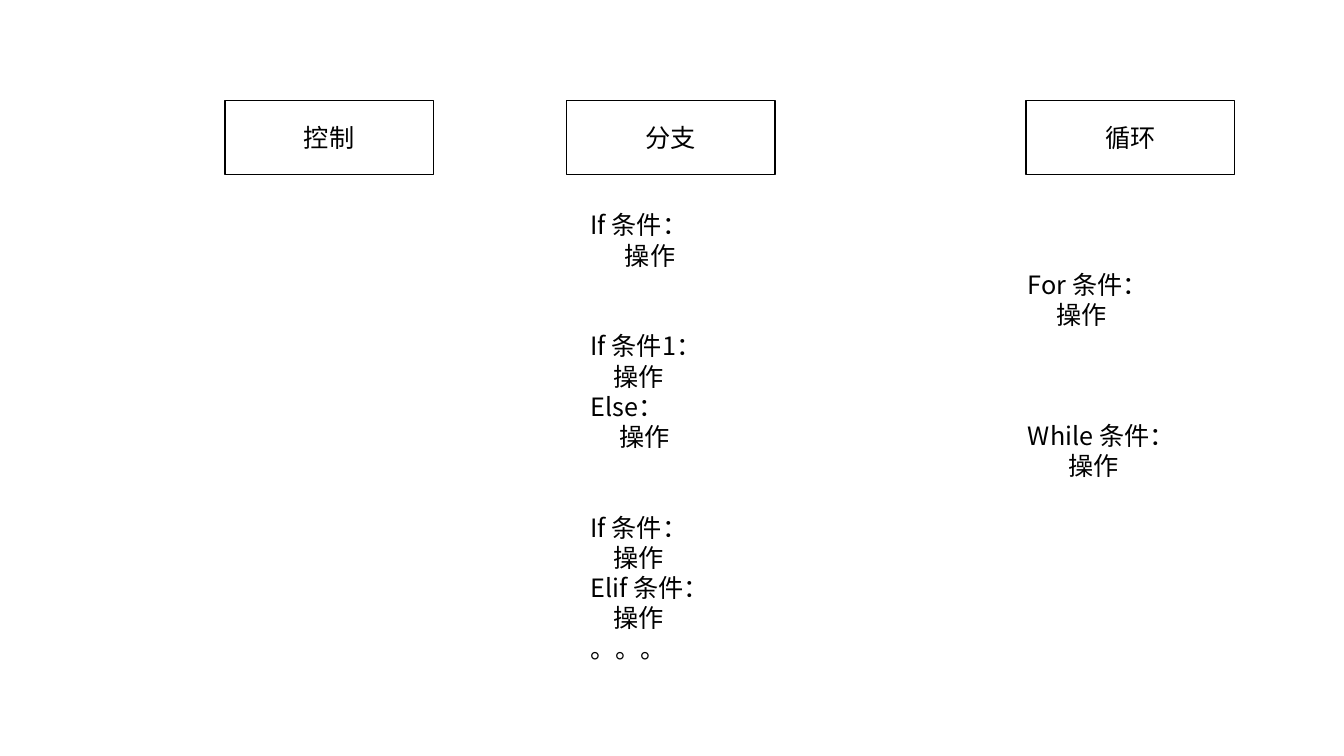
from typing import NamedTuple

from lxml import etree
from pptx import Presentation
from pptx.dml.color import RGBColor
from pptx.enum.shapes import MSO_SHAPE
from pptx.enum.text import MSO_ANCHOR, PP_ALIGN
from pptx.oxml.ns import qn
from pptx.slide import Slide
from pptx.util import Pt

RECTANGLE = MSO_SHAPE.RECTANGLE
MIDDLE = MSO_ANCHOR.MIDDLE
CENTER, LEFT = PP_ALIGN.CENTER, PP_ALIGN.LEFT

COLORS = {"paper": "FFFFFF", "ink": "000000"}
FONT = "Noto Sans CJK SC"
FONT_SIZE = 18
LINE_PITCH = 21.6
INDENT_STEP = 4.1
HEADING_TOP, HEADING_WIDTH, HEADING_HEIGHT = 72, 149, 52.6


class Heading(NamedTuple):
    text: str
    left: float


class CodeLine(NamedTuple):
    text: str
    indent_steps: int = 0
    lines_before: int = 0


class Listing(NamedTuple):
    left: float
    top: float
    width: float
    height: float
    lines: list[CodeLine]


HEADINGS = [Heading("控制", 160.6), Heading("分支", 404.6), Heading("循环", 733)]

BRANCHES = Listing(414.7, 146.2, 148.3, 334, [
    CodeLine("If 条件："),
    CodeLine("操作", 6),
    CodeLine("If 条件1：", lines_before=2),
    CodeLine("操作", 4),
    CodeLine("Else："),
    CodeLine("操作", 5),
    CodeLine("If 条件：", lines_before=2),
    CodeLine("操作", 4),
    CodeLine("Elif 条件："),
    CodeLine("操作", 4),
    CodeLine("。。。"),
])

LOOPS = Listing(727.2, 188.6, 172, 160, [
    CodeLine("For 条件："),
    CodeLine("操作", 5),
    CodeLine("While 条件：", lines_before=3),
    CodeLine("操作", 7),
])


def style_paragraph(paragraph, alignment: PP_ALIGN) -> None:
    """Set the font for both Latin and East Asian characters."""
    paragraph.alignment = alignment
    font = paragraph.font
    font.size = Pt(FONT_SIZE)
    font.color.rgb = RGBColor.from_string(COLORS["ink"])
    font.name = FONT
    defaults = paragraph._p.pPr.find(qn("a:defRPr"))
    etree.SubElement(defaults, qn("a:ea")).set("typeface", FONT)


def draw_heading(slide: Slide, heading: Heading) -> None:
    box = slide.shapes.add_shape(RECTANGLE, Pt(heading.left), Pt(HEADING_TOP),
                                 Pt(HEADING_WIDTH), Pt(HEADING_HEIGHT))
    box.shadow.inherit = False
    box.fill.solid()
    box.fill.fore_color.rgb = RGBColor.from_string(COLORS["paper"])
    box.line.color.rgb = RGBColor.from_string(COLORS["ink"])
    box.line.width = Pt(1)
    frame = box.text_frame
    frame.vertical_anchor = MIDDLE
    frame.text = heading.text
    style_paragraph(frame.paragraphs[0], CENTER)


def draw_listing(slide: Slide, listing: Listing) -> None:
    box = slide.shapes.add_textbox(Pt(listing.left), Pt(listing.top),
                                   Pt(listing.width), Pt(listing.height))
    frame = box.text_frame
    frame.word_wrap = True
    frame.text = "\n".join(line.text for line in listing.lines)
    for paragraph, line in zip(frame.paragraphs, listing.lines):
        style_paragraph(paragraph, LEFT)
        paragraph.line_spacing = Pt(LINE_PITCH)
        paragraph.space_before = Pt(line.lines_before * LINE_PITCH)
        paragraph._p.pPr.set("marL", str(Pt(line.indent_steps * INDENT_STEP)))


def main() -> None:
    presentation = Presentation()
    presentation.slide_width, presentation.slide_height = Pt(960), Pt(540)
    slide = presentation.slides.add_slide(presentation.slide_layouts[6])
    for heading in HEADINGS:
        draw_heading(slide, heading)
    for listing in (BRANCHES, LOOPS):
        draw_listing(slide, listing)
    presentation.save("out.pptx")


if __name__ == "__main__":
    main()
